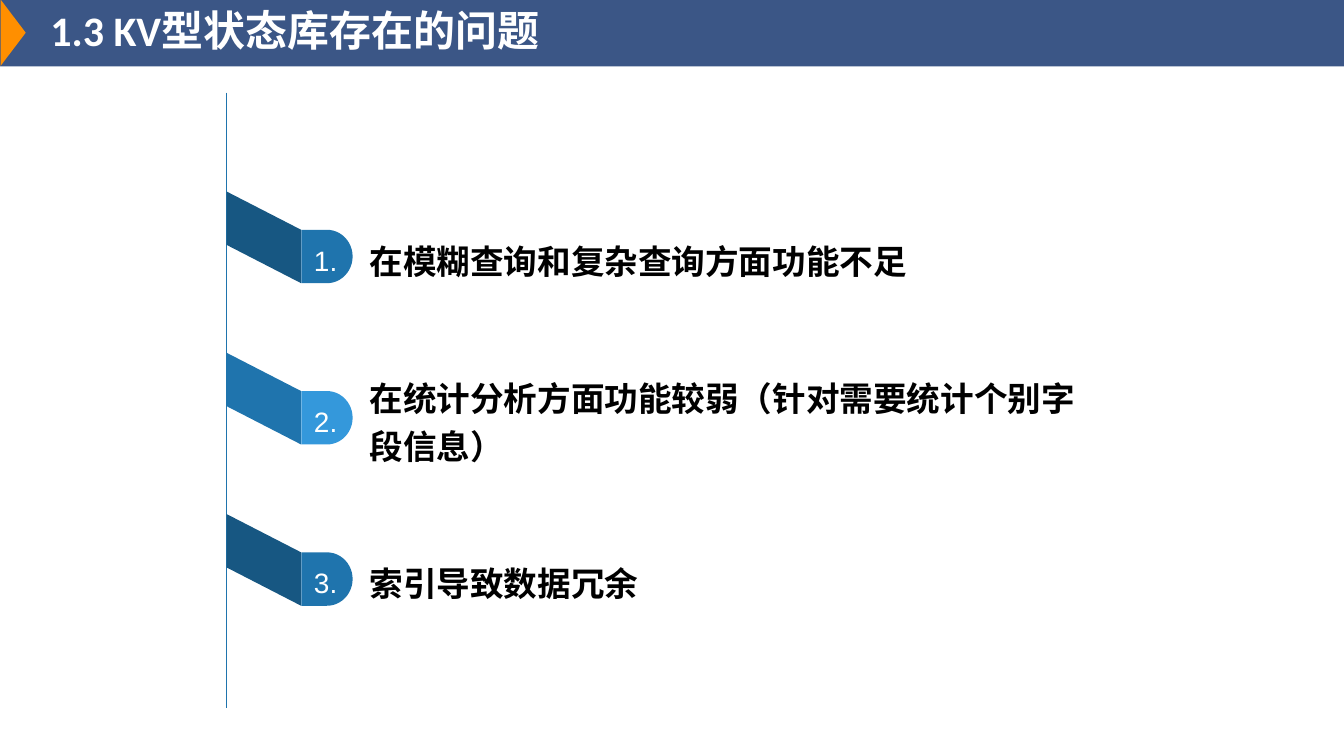
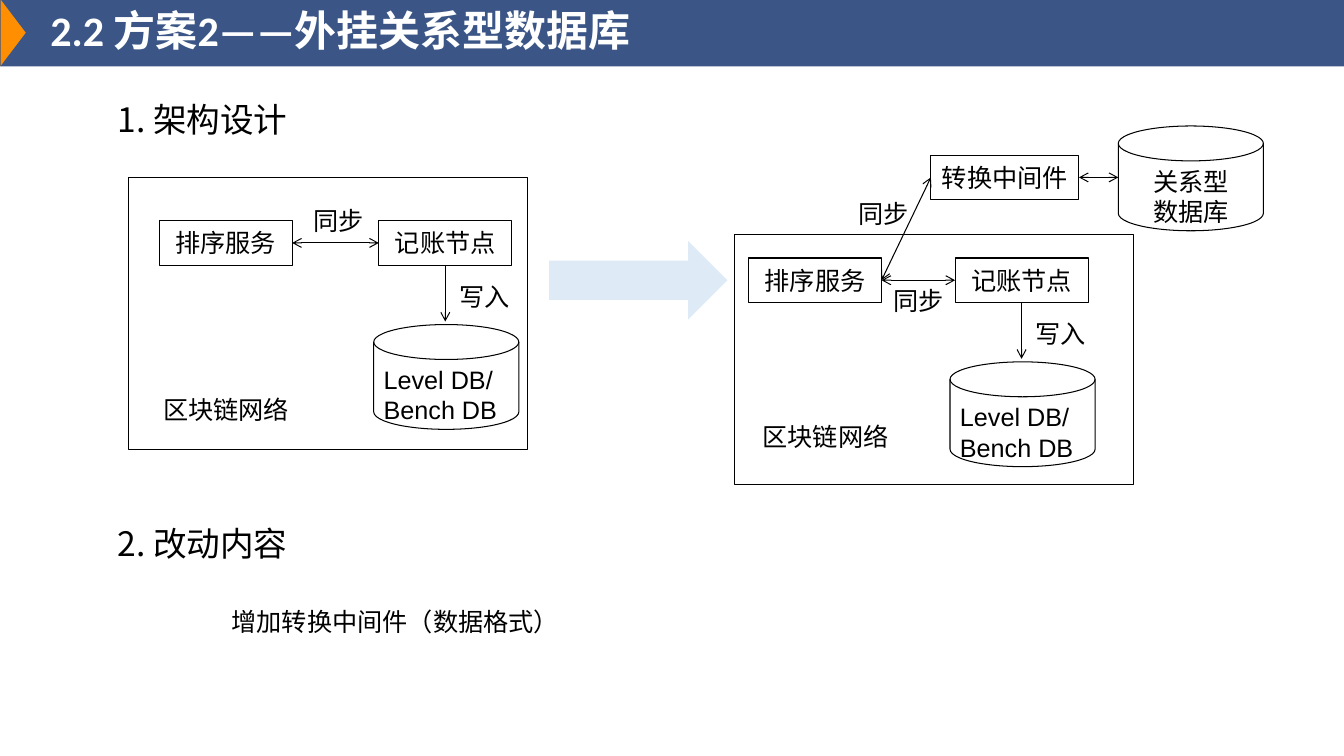
from lxml.etree import SubElement
from pptx import Presentation
from pptx.dml.color import RGBColor
from pptx.enum.shapes import MSO_CONNECTOR as Connector, MSO_SHAPE as Shape
from pptx.enum.text import MSO_ANCHOR as Anchor, MSO_AUTO_SIZE as AutoSize, PP_ALIGN as Align
from pptx.oxml.ns import qn
from pptx.util import Inches, Pt

WIDTH, HEIGHT, BAND_HEIGHT = 13.34, 7.5, 0.66
CJK_FONT = "Noto Sans CJK SC"
WHITE, BLACK = "FFFFFF", "000000"
BAND, MARKER, PALE = "3B5686", "FF8F00", "DEEBF7"
DARK, MIDDLE, LIGHT = "175782", "1F74AD", "3498DB"
BOX_WIDTH, BOX_HEIGHT = 1.32, 0.44
DISK_WIDTH, DISK_HEIGHT = 1.44, 1.04


def color(value):
    """Turn a hex string into a colour."""
    return RGBColor.from_string(value)


def paint(shape, fill, line=None):
    """Give a shape a flat fill and an optional thin outline."""
    shape.shadow.inherit = False
    shape.fill.solid()
    shape.fill.fore_color.rgb = color(fill)
    if line:
        shape.line.color.rgb = color(line)
        shape.line.width = Pt(0.75)
    else:
        shape.line.fill.background()


def write(shape, text, size=18, ink=BLACK, font="Arial", bold=False,
          align=Align.LEFT, anchor=Anchor.TOP, spacing=1.0, wrap=True):
    """Put formatted text, one paragraph per line, into a shape."""
    frame = shape.text_frame
    frame.text = text
    frame.word_wrap = wrap
    frame.auto_size = AutoSize.NONE
    frame.vertical_anchor = anchor
    for paragraph in frame.paragraphs:
        paragraph.alignment = align
        paragraph.line_spacing = spacing
        paragraph.font.size = Pt(size)
        paragraph.font.bold = bold
        paragraph.font.color.rgb = color(ink)
        paragraph.font.name = font
        defaults = paragraph._p.pPr.find(qn("a:defRPr"))
        SubElement(defaults, qn("a:ea")).set("typeface", CJK_FONT)


def add_block(slide, kind, left, top, width, height, fill, line=None):
    """Add a painted preset shape."""
    shape = slide.shapes.add_shape(
        kind, Inches(left), Inches(top), Inches(width), Inches(height))
    paint(shape, fill, line)
    return shape


def add_label(slide, text, left, top, width, height=0.4, **style):
    """Add a text box."""
    label = slide.shapes.add_textbox(
        Inches(left), Inches(top), Inches(width), Inches(height))
    write(label, text, **style)


def add_box(slide, text, left, top, width=BOX_WIDTH):
    """Add an outlined component box."""
    box = add_block(slide, Shape.RECTANGLE, left, top, width, BOX_HEIGHT, WHITE, BLACK)
    write(box, text, align=Align.CENTER, anchor=Anchor.MIDDLE)
    return box


def add_disk(slide, text, left, top, align=Align.LEFT):
    """Add a database cylinder."""
    disk = add_block(slide, Shape.FLOWCHART_MAGNETIC_DISK, left, top,
                     DISK_WIDTH, DISK_HEIGHT, WHITE, BLACK)
    write(disk, text, align=align)


def add_line(slide, start, end, ink=BLACK, weight=0.75):
    """Add a straight line without a shadow."""
    line = slide.shapes.add_connector(
        Connector.STRAIGHT, *(Inches(value) for value in (*start, *end)))
    line.line.color.rgb = color(ink)
    line.line.width = Pt(weight)
    SubElement(line._element.spPr, qn("a:effectLst"))
    return line


def add_arrow(slide, box, site, end=(0, 0), target=None, both=True):
    """Run an arrow from a box side to a point or to another box side."""
    arrow = add_line(slide, (0, 0), end)
    arrow.begin_connect(box, site)
    if target:
        arrow.end_connect(*target)
    outline = arrow.line._get_or_add_ln()
    for tag in ("a:headEnd", "a:tailEnd") if both else ("a:tailEnd",):
        SubElement(outline, qn(tag)).set("type", "arrow")


def add_band(layout, slide):
    """Draw the title band once and keep it on the layout."""
    band = add_block(slide, Shape.RECTANGLE, 0, 0, WIDTH, BAND_HEIGHT, BAND)
    marker = add_block(slide, Shape.ISOSCELES_TRIANGLE, -0.2, 0.2, BAND_HEIGHT, 0.25, MARKER)
    marker.rotation = 90
    for shape in (band, marker):
        layout.shapes.element.append(shape.element)


def add_title(slide, text):
    """Place and format the title over the band."""
    title = slide.shapes.title
    title.left, title.top = Inches(0.4), Inches(0)
    title.width, title.height = Inches(6.94), Inches(BAND_HEIGHT)
    write(title, text, size=30, ink=WHITE, font="Calibri", bold=True,
          anchor=Anchor.MIDDLE, spacing=0.9)


def add_problem(slide, left, top, number, text, ribbon_fill, badge_fill):
    """Add a folded ribbon, its numbered badge and the problem text."""
    fold, drop, thickness = 0.74, 0.38, 0.53
    builder = slide.shapes.build_freeform(Inches(left), Inches(top))
    corners = [(fold, drop), (fold, drop + thickness), (0, thickness)]
    builder.add_line_segments(
        [(Inches(left + x), Inches(top + y)) for x, y in corners])
    paint(builder.convert_to_shape(), ribbon_fill)
    badge = add_block(slide, Shape.FLOWCHART_DELAY, left + fold, top + drop,
                      0.51, thickness, badge_fill)
    write(badge, f"{number}.", size=20, ink=WHITE, align=Align.CENTER,
          anchor=Anchor.MIDDLE, spacing=1.2, wrap=False)
    badge.text_frame.margin_left = Inches(0.05)
    badge.text_frame.margin_right = 0
    add_label(slide, text, left + 1.32, top + 0.35, 7.2, 0.59, size=24, bold=True,
              anchor=Anchor.MIDDLE, spacing=1.2)


def build_problems(slide):
    """Fill the slide that lists the problems."""
    add_title(slide, "1.3 KV型状态库存在的问题")
    left, top, pitch = 2.25, 1.9, 1.6
    add_line(slide, (left, 0.92), (left, 7.02), MIDDLE, 0.5)
    problems = [
        ("在模糊查询和复杂查询方面功能不足", DARK, MIDDLE),
        ("在统计分析方面功能较弱（针对需要统计个别字段信息）", MIDDLE, LIGHT),
        ("索引导致数据冗余", DARK, MIDDLE),
    ]
    for index, problem in enumerate(problems):
        add_problem(slide, left, top + index * pitch, index + 1, *problem)


def add_network(slide, left, top, height, inset, node_step, sync_at, name_at):
    """Draw a blockchain network in its frame and return the ordering service box."""
    add_block(slide, Shape.RECTANGLE, left, top, 3.96, height, WHITE, BLACK)
    service_left, row_top = left + inset[0], top + inset[1]
    node_left, disk_top = service_left + node_step, row_top + 1.03
    service = add_box(slide, "排序服务", service_left, row_top)
    node = add_box(slide, "记账节点", node_left, row_top)
    add_disk(slide, "Level DB/\nBench DB", node_left - 0.05, disk_top)
    add_arrow(slide, node, 1, target=(service, 3))
    add_arrow(slide, node, 2, (node_left + BOX_WIDTH / 2, disk_top - 0.03), both=False)
    add_label(slide, "写入", node_left + 0.7, row_top + 0.55, 0.7, wrap=False)
    add_label(slide, "同步", left + sync_at[0], top + sync_at[1], 0.7, wrap=False)
    add_label(slide, "区块链网络", left + name_at[0], top + name_at[1], 1.45, wrap=False)
    return service


def add_extension(slide, left, top, service):
    """Draw the middleware and relational database attached to a service."""
    middleware = add_box(slide, "转换中间件", left, top + 0.29, 1.47)
    disk_left = left + 1.86
    add_disk(slide, "关系型\n数据库", disk_left, top, Align.CENTER)
    add_arrow(slide, middleware, 3, (disk_left, top + 0.51))
    add_arrow(slide, middleware, 1, target=(service, 3))
    add_label(slide, "同步", left - 0.82, top + 0.67, 0.7, wrap=False)


def build_architecture(slide):
    """Fill the slide that compares the two architectures."""
    add_title(slide, "2.2 方案2——外挂关系型数据库")
    for text, top in (("1. 架构设计", 0.73), ("2. 改动内容", 4.94)):
        add_label(slide, text, 1.07, top, 7.37, 0.7, size=24, font=CJK_FONT, spacing=1.5)
    add_label(slide, "增加转换中间件（数据格式）", 2.2, 5.76, 9.19, 0.56, spacing=1.7)
    add_network(slide, 1.28, 1.76, 2.7, (0.3, 0.43), 2.18, (1.73, 0.23), (0.24, 2.1))
    add_block(slide, Shape.RIGHT_ARROW, 5.45, 2.39, 1.77, 0.78, PALE)
    service = add_network(
        slide, 7.29, 2.33, 2.48, (0.14, 0.23), 2.05, (1.48, 0.45), (0.18, 1.8))
    add_extension(slide, 9.24, 1.25, service)


def main():
    """Build and save the presentation."""
    presentation = Presentation()
    presentation.slide_width, presentation.slide_height = Inches(WIDTH), Inches(HEIGHT)
    layout = presentation.slide_layouts[5]
    problems, architecture = (presentation.slides.add_slide(layout) for _ in range(2))
    add_band(layout, problems)
    build_problems(problems)
    build_architecture(architecture)
    presentation.save("out.pptx")


if __name__ == "__main__":
    main()
